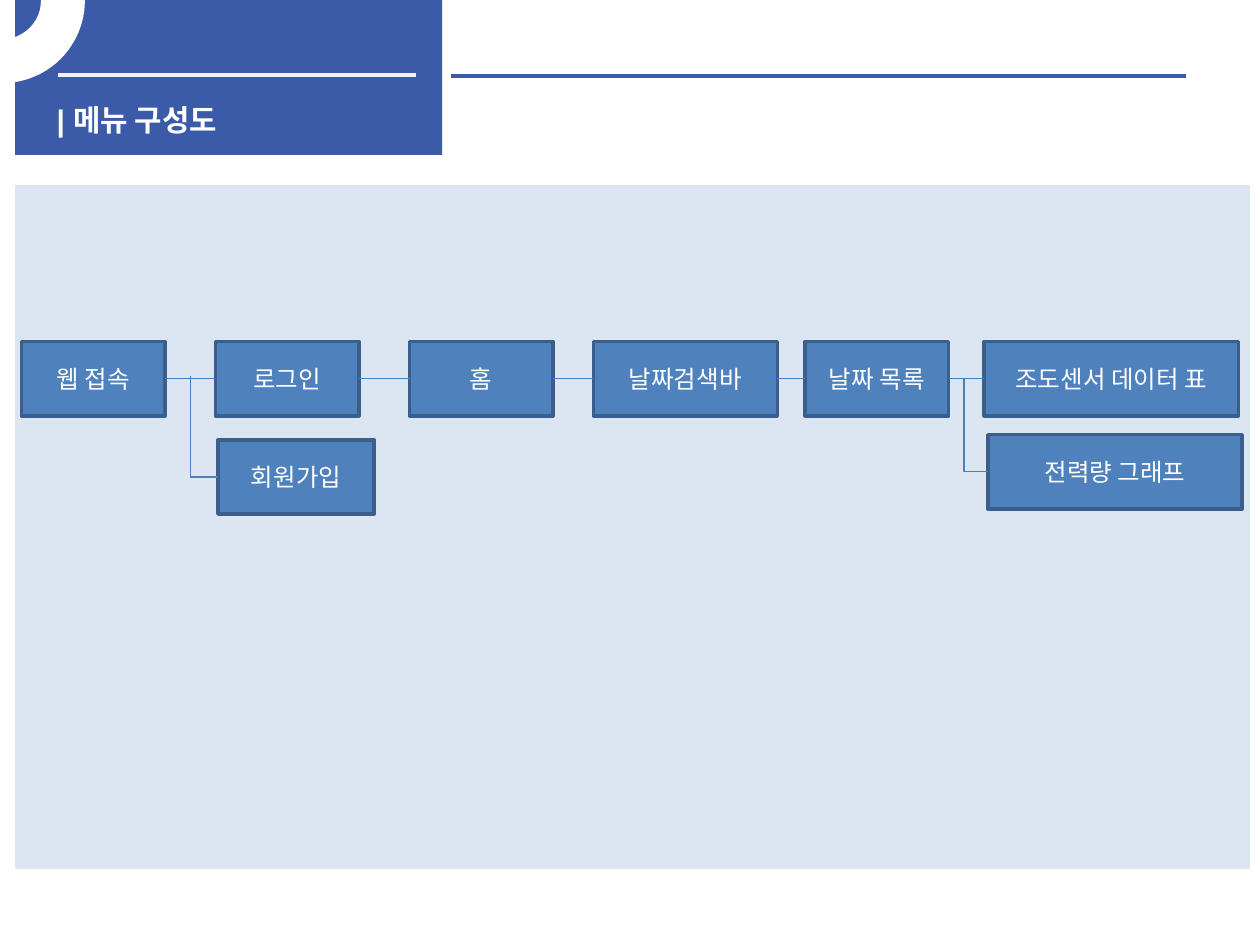
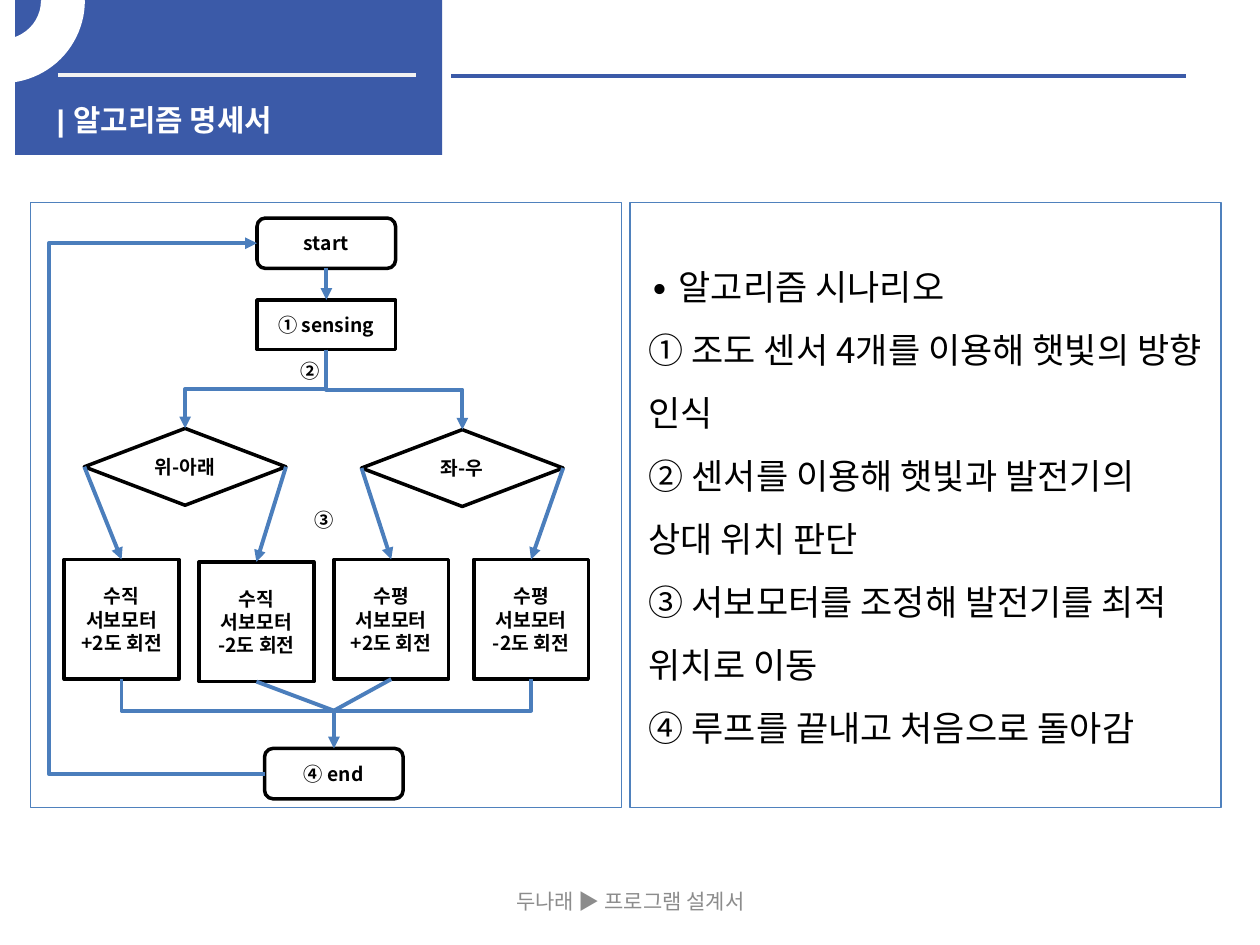
from dataclasses import dataclass

from lxml import etree
from pptx import Presentation
from pptx.dml.color import RGBColor
from pptx.enum import shapes, text
from pptx.oxml.ns import qn
from pptx.util import Pt

COLORS = {
    "white": "FFFFFF", "black": "000000", "band": "3B5AA8", "rule": "F2F2F2",
    "panel": "DCE6F2", "node": "4F81BD", "node_edge": "3A5F8C",
    "link": "4B7EBC", "footer": "8C8C8C",
}
FONT = "Noto Sans CJK KR"
SHAPE = shapes.MSO_SHAPE
LINK = shapes.MSO_CONNECTOR
CENTER = text.PP_ALIGN.CENTER
LEFT = text.PP_ALIGN.LEFT
TOP = text.MSO_ANCHOR.TOP
MIDDLE = text.MSO_ANCHOR.MIDDLE


@dataclass
class Box:
    x: float
    y: float
    w: float
    h: float

    def inside(self, x, y, w, h):
        return Box(self.x + x, self.y + y, w, h)

    def point(self, x, y):
        return self.x + x, self.y + y

    def side(self, name):
        fx, fy = {"top": (.5, 0), "bottom": (.5, 1),
                  "left": (0, .5), "right": (1, .5)}[name]
        return self.x + self.w * fx, self.y + self.h * fy

    def lengths(self):
        return [Pt(v) for v in (self.x, self.y, self.w, self.h)]


def color(name):
    return RGBColor.from_string(COLORS[name])


def write(frame, lines, size, ink, bold=False, align=CENTER, anchor=MIDDLE,
          wrap=True, spacing=None, font=FONT):
    frame.word_wrap = wrap
    frame.vertical_anchor = anchor
    frame.text = lines
    for paragraph in frame.paragraphs:
        paragraph.alignment = align
        if spacing:
            paragraph.line_spacing = spacing
        face = paragraph.font
        face.size = Pt(size)
        face.bold = bold
        face.color.rgb = color(ink)
        face.name = font
        etree.SubElement(face._rPr, qn("a:ea"), typeface=FONT)


def add_block(slide, kind, box, fill=None, edge=None, weight=2):
    block = slide.shapes.add_shape(kind, *box.lengths())
    block.shadow.inherit = False
    if fill:
        block.fill.solid()
        block.fill.fore_color.rgb = color(fill)
    else:
        block.fill.background()
    if edge:
        block.line.color.rgb = color(edge)
        block.line.width = Pt(weight)
    else:
        block.line.fill.background()
    return block


def add_label(slide, box, lines, *args, **style):
    label = slide.shapes.add_textbox(*box.lengths())
    write(label.text_frame, lines, *args, **style)


def add_link(slide, start, end, kind=LINK.STRAIGHT, ink="link", weight=2.25,
             arrow=False):
    link = slide.shapes.add_connector(kind, *[Pt(v) for v in (*start, *end)])
    link.line.color.rgb = color(ink)
    link.line.width = Pt(weight)
    properties = link._element.spPr
    if arrow:
        etree.SubElement(properties.find(qn("a:ln")), qn("a:tailEnd"),
                         type="triangle")
    etree.SubElement(properties, qn("a:effectLst"))
    return link


def add_corner(slide, start, end, weight=2.25):
    corner = add_link(slide, start, end, LINK.ELBOW, weight=weight)
    corner._element.spPr.find(qn("a:prstGeom")).set("prst", "bentConnector2")


def add_drop(slide, start, end):
    (x1, y1), (x2, y2) = start, end
    mid_x, mid_y = (x1 + x2) / 2, (y1 + y2) / 2
    half_w, half_h = (x2 - x1) / 2, (y2 - y1) / 2
    drop = add_link(slide, (mid_x - half_h, mid_y + half_w),
                    (mid_x + half_h, mid_y - half_w), LINK.ELBOW, arrow=True)
    drop._element.spPr.find(qn("a:xfrm")).set("rot", "5400000")


def add_loop(slide, start, end, lane_x):
    loop = add_link(slide, start, end, LINK.ELBOW, arrow=True)
    bend = (start[0] - lane_x) / (start[0] - end[0])
    geometry = loop._element.spPr.find(qn("a:prstGeom"))
    guides = geometry.find(qn("a:avLst"))
    if guides is None:
        guides = etree.SubElement(geometry, qn("a:avLst"))
    etree.SubElement(guides, qn("a:gd"), name="adj1",
                     fmla=f"val {round(bend * 100000)}")


def add_header(slide, box, heading):
    add_block(slide, SHAPE.RECTANGLE, box, "band")
    add_link(slide, box.point(24.5, 42.8), box.point(229, 42.8), ink="rule")
    add_link(slide, box.point(249.2, 43.2), box.point(669, 43.2), ink="band")
    title = slide.shapes.title
    title.left, title.top, title.width, title.height = box.inside(
        16.6, 54.7, 232.6, 21.6).lengths()
    title.text_frame.auto_size = text.MSO_AUTO_SIZE.NONE
    write(title.text_frame, "| " + heading, 17, "white", bold=True,
          align=LEFT, anchor=TOP, font="Arial")
    title.element.getparent().append(title.element)
    ring = add_block(slide, SHAPE.BLOCK_ARC,
                     box.inside(-54, -45.7, 92.9, 92.2), "white", "white")
    for index, value in enumerate((0, 119.05, .25)):
        ring.adjustments[index] = value


def add_menu(slide, box):
    add_block(slide, SHAPE.FLOWCHART_PROCESS, box, "panel")

    def add_page(name, x, y, w):
        page = box.inside(x, y, w, 42.5)
        block = add_block(slide, SHAPE.RECTANGLE, page, "node", "node_edge")
        write(block.text_frame, name, 14, "white")
        return page

    main_pages = [add_page(name, x, 89.3, w) for name, x, w in (
        ("웹 접속", 3.6, 82.1), ("로그인", 114.5, 82.1), ("홈", 225.4, 82.1),
        ("날짜검색바", 330.5, 105.1), ("날짜 목록", 451.5, 82.1),
        ("조도센서 데이터 표", 553.7, 145.4))]
    for page, following in zip(main_pages, main_pages[1:]):
        add_link(slide, page.side("right"), following.side("left"), weight=.75)
    for name, x, y, w, trunk in (
            ("회원가입", 116, 145.5, 89.3, (100.1, 108.8)),
            ("전력량 그래프", 555.9, 142.6, 145.4, (542.3, 110.4))):
        branch = add_page(name, x, y, w)
        add_corner(slide, branch.side("left"), box.point(*trunk), weight=.75)


def add_flowchart(slide, box):
    add_block(slide, SHAPE.RECTANGLE, box, edge="node", weight=.75)

    def add_step(kind, words, *place):
        step = box.inside(*place)
        block = add_block(slide, kind, step, "white", "black")
        write(block.text_frame, words, 11, "black", bold=True)
        return step

    start = add_step(SHAPE.ROUNDED_RECTANGLE, "start", 129.6, 8.7, 79.2, 28.8)
    sensing = add_step(SHAPE.RECTANGLE, "① sensing", 129.6, 55.5, 79.2, 28.4)
    end = add_step(SHAPE.ROUNDED_RECTANGLE, "④ end", 133.9, 311.8, 79.2, 28.8)
    choices = [add_step(SHAPE.DIAMOND, words, x, y, 115.2, 43.9)
               for words, x, y in (("위-아래", 30.9, 128.9),
                                   ("좌-우", 189.3, 129.6))]
    motors = [add_step(SHAPE.RECTANGLE, f"{axis}\n서보모터 {turn}도 회전",
                       x, y, 65.5, 68.4)
              for axis, turn, x, y in (
                  ("수직", "+2", 19.4, 203.8), ("수직", "-2", 96.5, 205.2),
                  ("수평", "+2", 173.5, 203.8), ("수평", "-2", 253.4, 203.8))]

    add_link(slide, start.side("bottom"), sensing.side("top"), arrow=True)
    for choice in choices:
        add_drop(slide, sensing.side("bottom"), choice.side("top"))
    exits = [choice.side(name) for choice in choices
             for name in ("left", "right")]
    for exit_point, motor in zip(exits, motors):
        add_link(slide, exit_point, motor.side("top"), arrow=True)

    merge = end.side("top")[0], box.y + 290.2
    add_link(slide, merge, end.side("top"), arrow=True)
    for motor in (motors[0], motors[-1]):
        add_corner(slide, merge, motor.side("bottom"))
    for motor in motors[1:-1]:
        add_link(slide, motor.side("bottom"), merge)
    add_loop(slide, end.side("left"), start.side("left"), box.x + 10.8)

    for mark, x, y in (("②", 147.6, 85.7), ("③", 155.5, 170.7)):
        add_label(slide, box.inside(x, y, 26.4, 20.9), mark, 11, "black",
                  bold=True, align=LEFT, anchor=TOP, wrap=False)


def add_scenario(slide, box):
    add_block(slide, SHAPE.RECTANGLE, box, edge="node", weight=.75)
    lines = ("∙ 알고리즘 시나리오",
             "① 조도 센서 4개를 이용해 햇빛의 방향 인식",
             "② 센서를 이용해 햇빛과 발전기의 상대 위치 판단",
             "③ 서보모터를 조정해 발전기를 최적 위치로 이동",
             "④ 루프를 끝내고 처음으로 돌아감")
    add_label(slide, box.inside(3.6, 20.2, 331.2, 294.5), "\n".join(lines),
              20, "black", align=LEFT, anchor=TOP, spacing=1.5)


def add_footer(slide, box):
    add_label(slide, box, "두나래 ▶ 프로그램 설계서", 12, "footer")


def new_slide(deck, heading):
    slide = deck.slides.add_slide(deck.slide_layouts[5])
    add_header(slide, Box(8.6, 0, 244.1, 88.6), heading)
    return slide


def main():
    deck = Presentation()
    deck.slide_width, deck.slide_height = Pt(720), Pt(540)

    menu = new_slide(deck, "메뉴 구성도")
    add_menu(menu, Box(8.6, 105.8, 705.6, 391))

    algorithm = new_slide(deck, "알고리즘 명세서")
    add_footer(algorithm, Box(246.2, 500.4, 228.2, 28.8))
    add_flowchart(algorithm, Box(17.3, 115.9, 337.7, 345.6))
    add_scenario(algorithm, Box(360, 115.9, 337.7, 345.6))

    deck.save("out.pptx")


if __name__ == "__main__":
    main()
